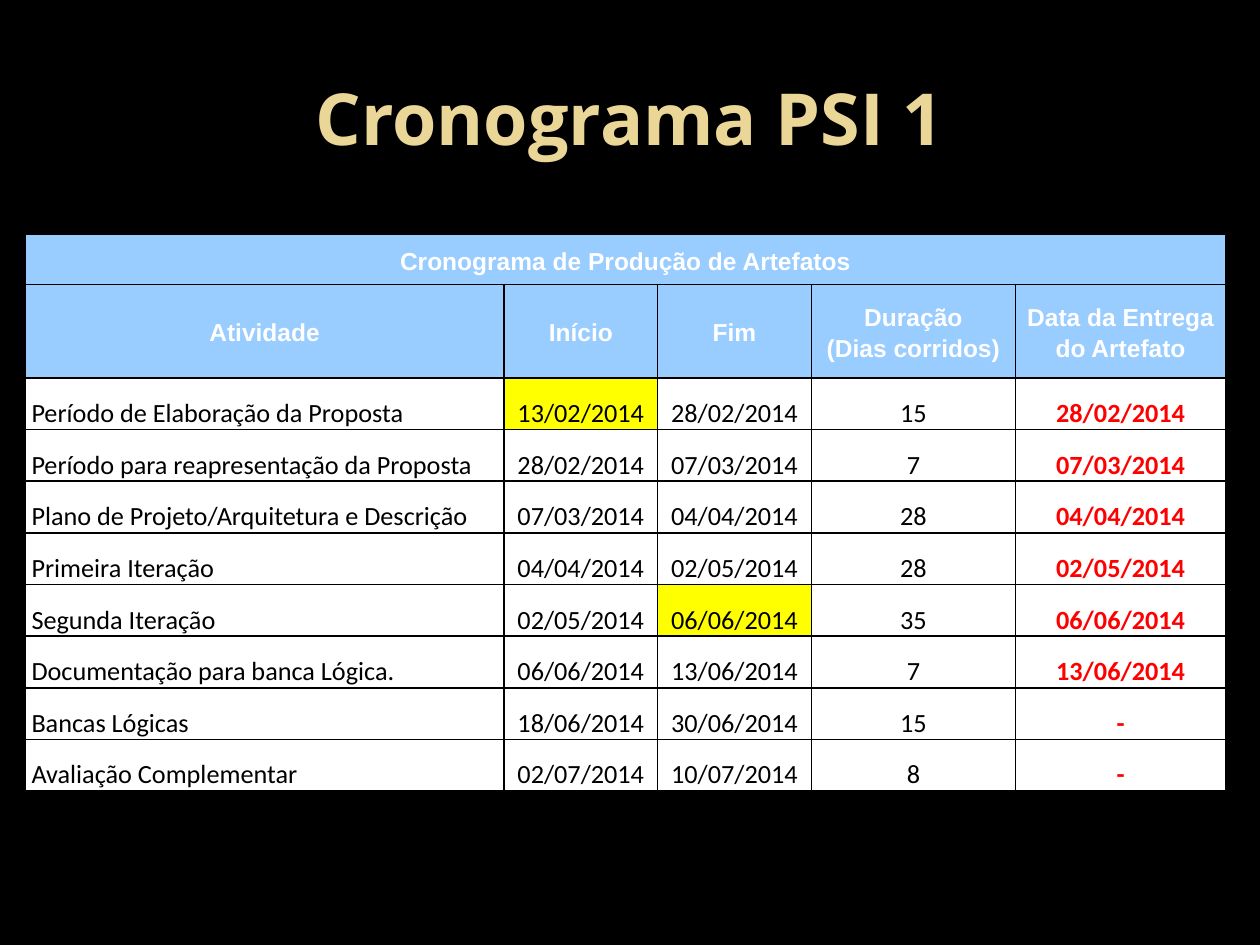
from copy import deepcopy

from lxml import etree
from pptx import Presentation
from pptx.dml.color import RGBColor
from pptx.enum import text
from pptx.oxml import ns
from pptx.util import Inches, Pt

BLACK = RGBColor(0x00, 0x00, 0x00)
WHITE = RGBColor(0xFF, 0xFF, 0xFF)
GOLD = RGBColor(0xEA, 0xD6, 0x96)
SKY = RGBColor(0x99, 0xCC, 0xFF)
YELLOW = RGBColor(0xFF, 0xFF, 0x00)
RED = RGBColor(0xFF, 0x00, 0x00)

TITLE = "Cronograma PSI 1"
CAPTION = "Cronograma de Produção de Artefatos"
HEADINGS = ["Atividade", "Início", "Fim", "Duração\n(Dias corridos)",
            "Data da Entrega do Artefato"]
ACTIVITIES = [
    ("Período de Elaboração da Proposta", "13/02/2014", "28/02/2014", "15", "28/02/2014"),
    ("Período para reapresentação da Proposta", "28/02/2014", "07/03/2014", "7", "07/03/2014"),
    ("Plano de Projeto/Arquitetura e Descrição", "07/03/2014", "04/04/2014", "28", "04/04/2014"),
    ("Primeira Iteração", "04/04/2014", "02/05/2014", "28", "02/05/2014"),
    ("Segunda Iteração", "02/05/2014", "06/06/2014", "35", "06/06/2014"),
    ("Documentação para banca Lógica.", "06/06/2014", "13/06/2014", "7", "13/06/2014"),
    ("Bancas Lógicas", "18/06/2014", "30/06/2014", "15", "-"),
    ("Avaliação Complementar", "02/07/2014", "10/07/2014", "8", "-"),
]
HIGHLIGHTED = {(0, 1), (4, 2)}  # (activity, column)
COLUMN_WIDTHS = [3.8, 1.22, 1.22, 1.62, 1.67]
ROW_HEIGHTS = [0.4, 0.74] + [0.41] * len(ACTIVITIES)


def write(frame, words, *, font, size, color, bold=False,
          align=text.PP_ALIGN.CENTER, spacing=None):
    paragraph = frame.paragraphs[0]
    paragraph.text = words
    paragraph.alignment = align
    paragraph.line_spacing = spacing
    for run in paragraph.runs:
        run.font.name = font
        run.font.size = Pt(size)
        run.font.bold = bold
        run.font.color.rgb = color
    # A line break carries its own text size, so it takes the run's format
    for line_break in paragraph._p.findall(ns.qn("a:br")):
        line_break.insert(0, deepcopy(paragraph.runs[0]._r.rPr))


def add_borders(cell, color, width):
    properties = cell._tc.get_or_add_tcPr()
    for side in ("a:lnL", "a:lnR", "a:lnT", "a:lnB"):
        line = etree.SubElement(properties, ns.qn(side), w=str(Pt(width)))
        fill = etree.SubElement(line, ns.qn("a:solidFill"))
        etree.SubElement(fill, ns.qn("a:srgbClr"), val=str(color))


def fill_cell(cell, words, fill, anchor, **style):
    cell.margin_left = cell.margin_right = Inches(0.05)
    cell.margin_top = cell.margin_bottom = 0
    cell.vertical_anchor = anchor
    cell.fill.solid()
    cell.fill.fore_color.rgb = fill
    write(cell.text_frame, words, spacing=1.15, **style)


def add_schedule(slide):
    table = slide.shapes.add_table(
        len(ROW_HEIGHTS), len(COLUMN_WIDTHS), Inches(0.2), Inches(1.86),
        Inches(sum(COLUMN_WIDTHS)), Inches(sum(ROW_HEIGHTS))).table
    table.horz_banding = False
    for column, width in zip(table.columns, COLUMN_WIDTHS):
        column.width = Inches(width)
    for row, height in zip(table.rows, ROW_HEIGHTS):
        row.height = Inches(height)
    for cell in table.iter_cells():
        add_borders(cell, BLACK, 1)

    heading_style = dict(fill=SKY, anchor=text.MSO_ANCHOR.MIDDLE,
                         font="Arial", size=14, color=WHITE, bold=True)
    table.cell(0, 0).merge(table.cell(0, len(COLUMN_WIDTHS) - 1))
    fill_cell(table.cell(0, 0), CAPTION, **heading_style)
    for column, heading in enumerate(HEADINGS):
        fill_cell(table.cell(1, column), heading, **heading_style)

    delivery = len(HEADINGS) - 1
    for index, activity in enumerate(ACTIVITIES):
        for column, words in enumerate(activity):
            fill_cell(
                table.cell(index + 2, column), words,
                fill=YELLOW if (index, column) in HIGHLIGHTED else WHITE,
                anchor=text.MSO_ANCHOR.BOTTOM, font="Calibri", size=15,
                color=RED if column == delivery else BLACK,
                bold=column == delivery,
                align=text.PP_ALIGN.CENTER if column else text.PP_ALIGN.LEFT)


def main():
    presentation = Presentation()
    presentation.slide_width, presentation.slide_height = Inches(10), Inches(7.5)
    slide = presentation.slides.add_slide(presentation.slide_layouts[5])
    slide.background.fill.solid()
    slide.background.fill.fore_color.rgb = BLACK

    title = slide.shapes.title
    title.left, title.top = Inches(0.5), Inches(0.3)
    title.width, title.height = Inches(9), Inches(1.25)
    title.text_frame.vertical_anchor = text.MSO_ANCHOR.MIDDLE
    write(title.text_frame, TITLE, font="Open Sans", size=41, color=GOLD, bold=True)

    add_schedule(slide)
    presentation.save("out.pptx")


if __name__ == "__main__":
    main()
